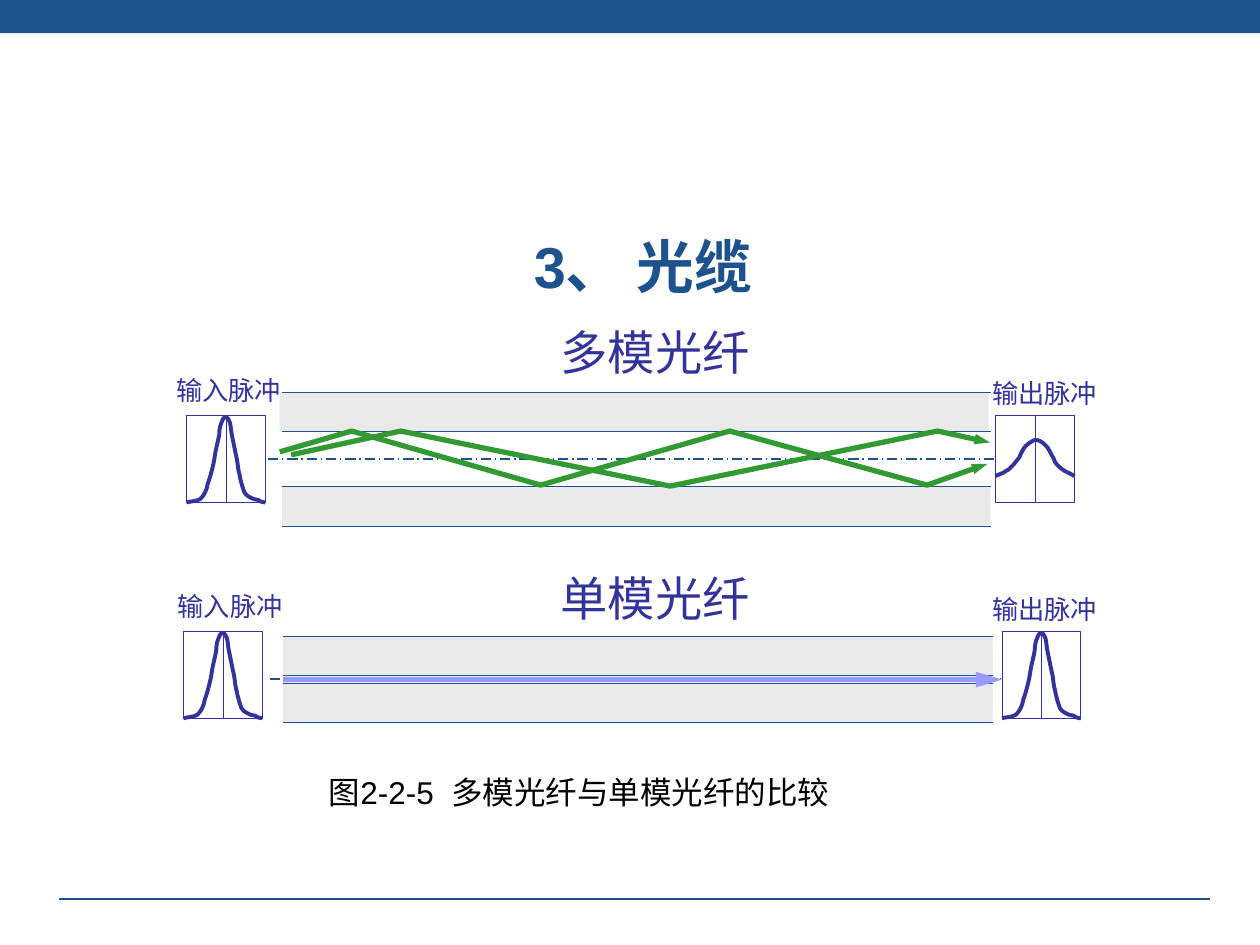
import pptx
import pptx.util
import pptx.dml.color
import pptx.enum.dml
import pptx.enum.shapes
import pptx.enum.text
import pptx.oxml.ns
import lxml.etree

Cm = pptx.util.Cm
Pt = pptx.util.Pt
RGBColor = pptx.dml.color.RGBColor
qn = pptx.oxml.ns.qn
RECT = pptx.enum.shapes.MSO_SHAPE.RECTANGLE
STRAIGHT = pptx.enum.shapes.MSO_CONNECTOR.STRAIGHT
ALIGN = pptx.enum.text.PP_ALIGN
ANCHOR = pptx.enum.text.MSO_ANCHOR
DASH_DOT = pptx.enum.dml.MSO_LINE.LONG_DASH_DOT

BLUE = RGBColor(0x1D, 0x52, 0x8D)
INDIGO = RGBColor(0x33, 0x33, 0x99)
LILAC = RGBColor(0x99, 0x99, 0xFF)
GREEN = RGBColor(0x33, 0x99, 0x33)
GREY = RGBColor(0xEA, 0xEA, 0xEA)
WHITE = RGBColor(0xFF, 0xFF, 0xFF)
BLACK = RGBColor(0, 0, 0)
CJK = "Noto Sans CJK SC"

prs = pptx.Presentation()
prs.slide_width, prs.slide_height = Cm(25.4), Cm(19.05)
s = prs.slides.add_slide(prs.slide_layouts[6])


def add_text(text, left, top, width, height, size, font=CJK, color=INDIGO, bold=False,
             align=ALIGN.LEFT, anchor=ANCHOR.TOP, wrap=False, spacing=None):
    sp = s.shapes.add_textbox(Cm(left), Cm(top), Cm(width), Cm(height))
    tf = sp.text_frame
    tf.word_wrap = wrap
    tf.vertical_anchor = anchor
    p = tf.paragraphs[0]
    p.alignment = align
    p.line_spacing = spacing
    r = p.add_run()
    r.text = text
    r.font.size, r.font.bold, r.font.name = Pt(size), bold, font
    r.font.color.rgb = color
    ea = lxml.etree.SubElement(r.font._element, qn("a:ea"))
    ea.set("typeface", CJK)
    return tf


def set_style(sp, line=None, width=0.75, fill=None, dash=None, arrow=None):
    """Format a shape without shadow; arrow is the (width, length) of the head."""
    if hasattr(sp, "fill"):
        if fill is None:
            sp.fill.background()
        else:
            sp.fill.solid()
            sp.fill.fore_color.rgb = fill
    if line is None:
        sp.line.fill.background()
    else:
        sp.line.color.rgb = line
        sp.line.width = Pt(width)
    if dash is not None:
        sp.line.dash_style = dash
    spPr = sp._element.spPr
    if arrow:
        lxml.etree.SubElement(spPr.find(qn("a:ln")), qn("a:tailEnd"),
                              type="triangle", w=arrow[0], len=arrow[1])
    lxml.etree.SubElement(spPr, qn("a:effectLst"))


# Header bar and fibre cladding
for left, top, width, height, fill in [
    (0, 0, 25.4, 0.67, BLUE),
    (5.64, 7.9, 14.29, 0.8, GREY),
    (5.69, 9.81, 14.28, 0.8, GREY),
    (5.71, 13.13, 14.3, 1.12, GREY),
    (5.71, 12.83, 14.3, 0.79, GREY),
    (5.71, 13.77, 14.3, 0.79, GREY),
]:
    sp = s.shapes.add_shape(RECT, Cm(left), Cm(top), Cm(width), Cm(height))
    set_style(sp, fill=fill)

# Footer rule, cladding edges, fibre axes and the single-mode ray
lines = [(1.19, 18.12, 24.39, {})]
lines += [(5.69, y, 19.97, {}) for y in (7.91, 8.7, 9.81, 10.61)]
lines += [(5.71, y, 20.01, {}) for y in (12.83, 13.62, 13.78, 14.57)]
lines += [(5.4, 9.25, 20.2, {"dash": DASH_DOT}),
          (5.44, 13.69, 20.24, {"dash": DASH_DOT}),
          (5.71, 13.7, 20.2, {"line": LILAC, "width": 3, "arrow": ("med", "lg")})]
for x1, y, x2, look in lines:
    sp = s.shapes.add_connector(STRAIGHT, Cm(x1), Cm(y), Cm(x2), Cm(y))
    set_style(sp, **{"line": BLUE, **look})

# Outlines: points, number of leading Bezier curves (three points each), closed, look
HEADER_EDGE = [(0, 3.51), (1.35, 3.3), (5.18, 2.87), (8.1, 2.74),
               (11.02, 2.64), (14.61, 2.72), (17.5, 2.82),
               (20.37, 2.95), (24.08, 3.28), (25.4, 3.45), (25.43, 3.94), (0.03, 3.91)]
RAYS = [
    [(5.87, 9.17), (8.08, 8.69), (13.51, 9.8), (18.9, 8.69), (19.96, 8.92)],
    [(5.64, 9.11), (7.09, 8.69), (10.9, 9.78), (14.71, 8.69), (18.69, 9.78), (19.91, 9.35)],
]
outlines = [(HEADER_EDGE, 3, True, {"fill": WHITE})]
outlines += [(ray, 0, False, {"line": GREEN, "width": 3, "arrow": ("sm", "med")})
             for ray in RAYS]

# Pulses: curve points are measured from the corner of the box
NARROW = [(0, 1.75), (0.05, 1.73), (0.2, 1.73), (0.28, 1.68),
          (0.36, 1.6), (0.41, 1.5), (0.43, 1.37), (0.48, 1.24), (0.53, 1.04), (0.56, 0.89),
          (0.58, 0.71), (0.64, 0.51), (0.66, 0.38), (0.66, 0.25), (0.69, 0.18), (0.71, 0.13),
          (0.74, 0.05), (0.76, 0.03), (0.79, 0.03), (0.81, 0.03), (0.84, 0.05), (0.86, 0.1),
          (0.89, 0.15), (0.89, 0.23), (0.91, 0.36), (0.94, 0.51), (0.99, 0.76), (1.02, 0.89),
          (1.04, 1.02), (1.04, 1.09), (1.07, 1.19), (1.09, 1.32), (1.14, 1.47), (1.17, 1.55),
          (1.22, 1.63), (1.3, 1.65), (1.35, 1.68), (1.4, 1.7), (1.4, 1.7), (1.45, 1.7),
          (1.47, 1.73), (1.55, 1.75), (1.59, 1.75)]
WIDE = [(0, 1.22), (0.03, 1.19), (0.15, 1.17), (0.2, 1.12),
        (0.28, 1.09), (0.3, 1.04), (0.36, 0.99), (0.41, 0.94), (0.43, 0.89), (0.48, 0.84),
        (0.51, 0.76), (0.56, 0.66), (0.61, 0.61), (0.66, 0.56), (0.74, 0.51), (0.79, 0.49),
        (0.86, 0.48), (0.94, 0.53), (0.99, 0.58), (1.07, 0.64), (1.12, 0.79), (1.17, 0.86),
        (1.19, 0.91), (1.19, 0.94), (1.24, 0.99), (1.27, 1.02), (1.32, 1.07), (1.4, 1.12),
        (1.45, 1.14), (1.55, 1.19), (1.59, 1.22)]
BOX_W, BOX_H = 1.59, 1.75

for left, top, curve, border in [
    (3.76, 8.38, NARROW, 0.75),
    (20.07, 8.38, WIDE, 0.75),
    (3.7, 12.73, NARROW, 0.5),
    (20.2, 12.73, NARROW, 0.5),
]:
    sp = s.shapes.add_shape(RECT, Cm(left), Cm(top), Cm(BOX_W), Cm(BOX_H))
    set_style(sp, line=INDIGO, width=border, fill=WHITE)
    mid = Cm(left + BOX_W / 2)
    sp = s.shapes.add_connector(STRAIGHT, mid, Cm(top), mid, Cm(top + BOX_H))
    set_style(sp, line=INDIGO, width=0.5)
    points = [(left + x, top + y) for x, y in curve]
    outlines.append((points, len(curve) // 3, False, {"line": INDIGO, "width": 2.25}))

for points, bends, closed, look in outlines:
    points = [(Cm(x), Cm(y)) for x, y in points]
    fb = s.shapes.build_freeform(*points[0])
    fb.add_line_segments(points[1:], close=closed)
    sp = fb.convert_to_shape()
    segments = list(sp._element.iter(qn("a:lnTo")))
    for i in range(0, 3 * bends, 3):
        bezier = segments[i].makeelement(qn("a:cubicBezTo"))
        segments[i].addprevious(bezier)
        for segment in segments[i:i + 3]:
            bezier.append(segment[0])
            segment.getparent().remove(segment)
    set_style(sp, **look)

# Labels and headings
for text, left, top in [("输入脉冲", 3.3, 7.42), ("输出脉冲", 19.75, 7.49),
                        ("输入脉冲", 3.33, 11.77), ("输出脉冲", 19.75, 11.84)]:
    add_text(text, left, top, 2.62, 0.89, 15)
for text, top in [("多模光纤", 6.4), ("单模光纤", 11.35)]:
    add_text(text, 11.05, top, 4.32, 1.4, 27, font="Roboto")

tf = add_text("3、 光缆", 2.02, 3.4, 21.89, 2.77, 33, font="Arial", color=BLUE, bold=True,
              align=ALIGN.CENTER, anchor=ANCHOR.BOTTOM, wrap=True, spacing=0.9)
tf.margin_left = tf.margin_right = Cm(0.18)
tf.margin_top = tf.margin_bottom = Cm(0.1)
add_text("图2-2-5  多模光纤与单模光纤的比较", 0.73, 15.21, 21.89, 1.27, 18, font="Arial",
         color=BLACK, align=ALIGN.CENTER, anchor=ANCHOR.BOTTOM, wrap=True)

prs.save("out.pptx")
